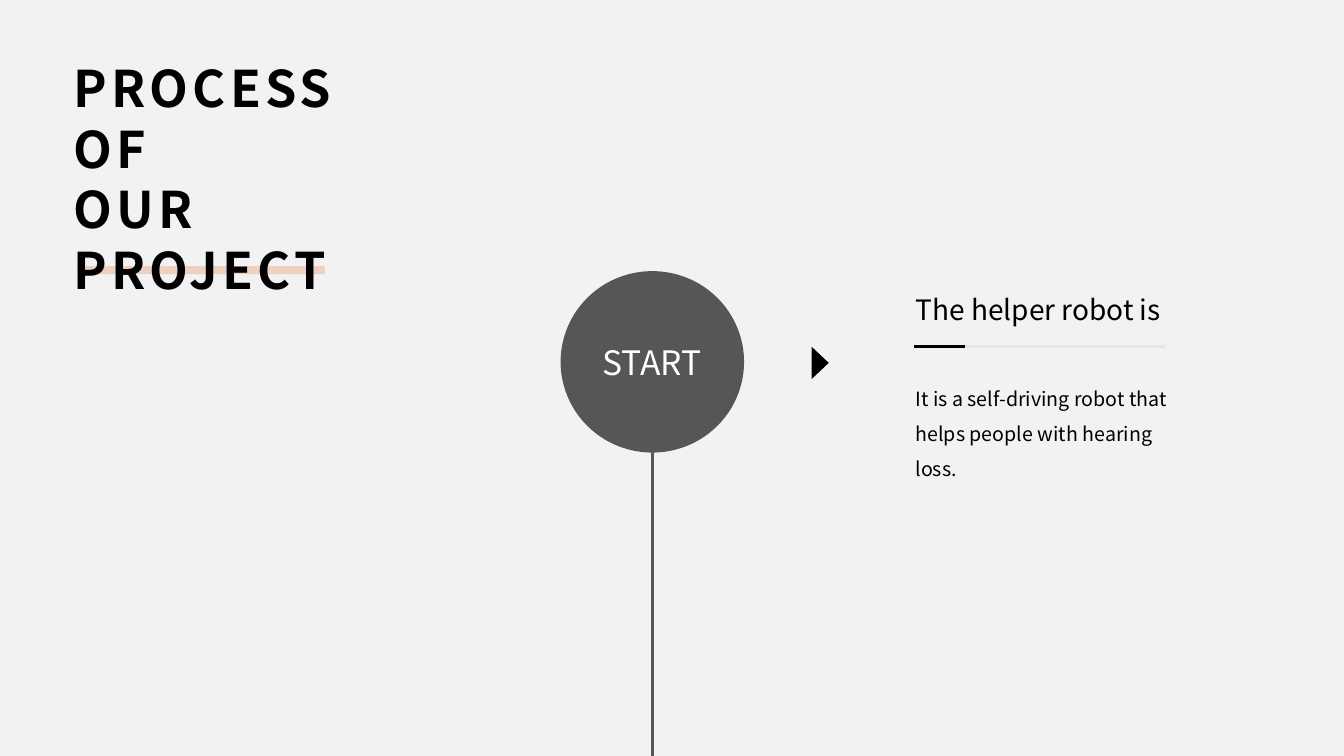
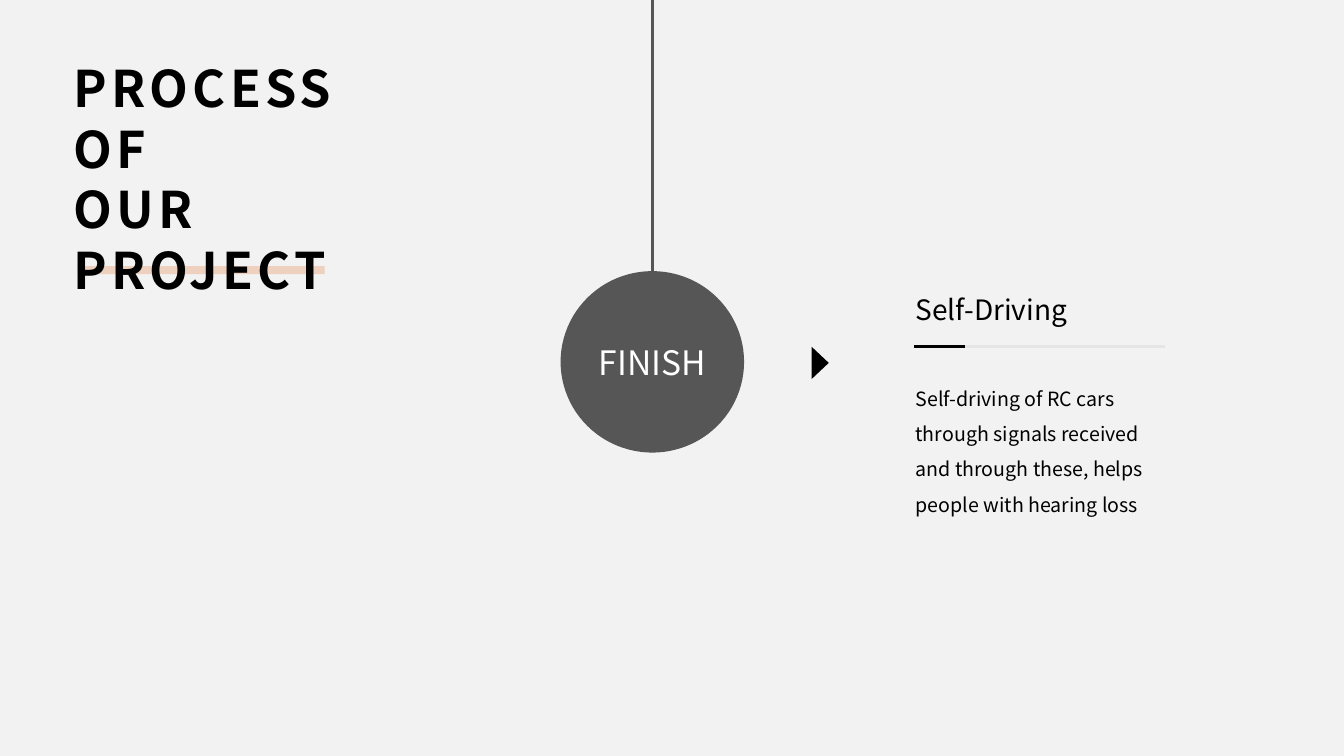
from copy import deepcopy
from dataclasses import dataclass

from lxml import etree
from pptx import Presentation
from pptx.dml.color import RGBColor
from pptx.enum.shapes import MSO_CONNECTOR, MSO_SHAPE
from pptx.enum.text import MSO_ANCHOR, MSO_AUTO_SIZE, PP_ALIGN
from pptx.oxml.ns import qn
from pptx.util import Inches, Pt

STRAIGHT = MSO_CONNECTOR.STRAIGHT
RECTANGLE, OVAL = MSO_SHAPE.RECTANGLE, MSO_SHAPE.OVAL
TOP, MIDDLE = MSO_ANCHOR.TOP, MSO_ANCHOR.MIDDLE
LEFT, CENTER = PP_ALIGN.LEFT, PP_ALIGN.CENTER
NO_AUTOSIZE = MSO_AUTO_SIZE.NONE
TITLE_AND_CONTENT = 1


@dataclass(frozen=True)
class Theme:
    font: str = "Noto Sans CJK KR"
    background: RGBColor = RGBColor(0xF2, 0xF2, 0xF2)
    highlight: RGBColor = RGBColor(0xED, 0xD0, 0xBE)
    milestone: RGBColor = RGBColor(0x56, 0x56, 0x56)
    rule: RGBColor = RGBColor(0xE5, 0xE5, 0xE5)
    ink: RGBColor = RGBColor(0, 0, 0)
    white: RGBColor = RGBColor(0xFF, 0xFF, 0xFF)
    title_size: int = 36
    milestone_size: int = 24
    heading_size: int = 20
    body_size: int = 14
    title_spacing: int = 3
    line_width: int = 2


@dataclass(frozen=True)
class Box:
    left: float
    top: float
    width: float
    height: float

    def emu(self) -> tuple:
        return tuple(Inches(v) for v in (self.left, self.top, self.width, self.height))


@dataclass(frozen=True)
class Step:
    label: str
    heading: str
    body: str
    line_from: float
    line_to: float


THEME = Theme()
SLIDE_WIDTH, SLIDE_HEIGHT = 13.33, 7.5
TITLE = "PROCESS\nOF\vOUR\nPROJECT"
TITLE_BOX = Box(0.63, 0.52, 5.16, 2.52)
HIGHLIGHT_BOX = Box(0.77, 2.64, 2.45, 0.08)
CIRCLE_BOX = Box(5.56, 2.69, 1.82, 1.8)
HEADING_BOX = Box(9.04, 2.86, 2.77, 0.46)
BODY_BOX = Box(9.04, 3.68, 2.63, 1.33)
TIMELINE_X = 6.47
RULE_Y = 3.44
INSET, TITLE_INSET = (0.04, 0.04), (0.1, 0.05)

STEPS = (
    Step("START", "The helper robot is",
         "It is a self-driving robot that helps people with hearing loss.",
         3.53, SLIDE_HEIGHT),
    Step("FINISH", "Self-Driving",
         "Self-driving of RC cars through signals received and through these, "
         "helps people with hearing loss",
         0, 4.07),
)


def set_text(sp, text: str, size: int, color: RGBColor, bold: bool = False,
             align=LEFT, anchor=TOP, inset: tuple = INSET) -> None:
    tf = sp.text_frame
    tf.text = text
    tf.word_wrap = True
    tf.auto_size = NO_AUTOSIZE
    tf.vertical_anchor = anchor
    tf.margin_left = tf.margin_right = Inches(inset[0])
    tf.margin_top = tf.margin_bottom = Inches(inset[1])
    for p in tf.paragraphs:
        p.alignment = align
        p.space_before = Pt(0)
        for r in p.runs:
            r.font.name = THEME.font
            r.font.size = Pt(size)
            r.font.bold = bold
            r.font.color.rgb = color


def set_fill(sp, color: RGBColor) -> None:
    sp.shadow.inherit = False
    sp.fill.solid()
    sp.fill.fore_color.rgb = color
    sp.line.fill.background()


def add_line(slide, x1: float, y1: float, x2: float, y2: float, color: RGBColor) -> None:
    line = slide.shapes.add_connector(
        STRAIGHT, Inches(x1), Inches(y1), Inches(x2), Inches(y2))
    line.line.color.rgb = color
    line.line.width = Pt(THEME.line_width)
    etree.SubElement(line._element.spPr, qn("a:effectLst"))


def add_title(slide) -> None:
    """Fill the letter-spaced title and lay its highlight behind it."""
    sp = slide.shapes.title
    set_text(sp, TITLE, THEME.title_size, THEME.ink, bold=True, inset=TITLE_INSET)
    for p in sp.text_frame.paragraphs:
        for r in p.runs:
            r.font._element.set("spc", str(THEME.title_spacing * 100))
        for line_break in p._p.findall(qn("a:br")):
            line_break.append(deepcopy(p.runs[0].font._element))
    bar = slide.shapes.add_shape(RECTANGLE, *HIGHLIGHT_BOX.emu())
    set_fill(bar, THEME.highlight)
    sp._element.addprevious(bar._element)


def add_milestone(slide, step: Step) -> None:
    add_line(slide, TIMELINE_X, step.line_from, TIMELINE_X, step.line_to, THEME.milestone)
    circle = slide.shapes.add_shape(OVAL, *CIRCLE_BOX.emu())
    set_fill(circle, THEME.milestone)
    set_text(circle, step.label, THEME.milestone_size, THEME.white,
             align=CENTER, anchor=MIDDLE)


def add_pointer(slide) -> None:
    left, tip, top, middle, bottom = (Inches(v) for v in (8.05, 8.22, 3.44, 3.6, 3.76))
    outline = slide.shapes.build_freeform(left, top)
    outline.add_line_segments([(tip, middle), (left, bottom)], close=True)
    set_fill(outline.convert_to_shape(), THEME.ink)


def add_description(slide, step: Step) -> None:
    heading = slide.shapes.add_textbox(*HEADING_BOX.emu())
    set_text(heading, step.heading, THEME.heading_size, THEME.ink)
    add_line(slide, 9.07, RULE_Y, 11.55, RULE_Y, THEME.rule)
    add_line(slide, 9.07, RULE_Y, 9.57, RULE_Y, THEME.ink)

    body = slide.placeholders[1]
    set_text(body, step.body, THEME.body_size, THEME.ink)
    for p in body.text_frame.paragraphs:
        p.line_spacing = 1.5
        pPr = p._p.get_or_add_pPr()
        pPr.set("marL", "0")
        pPr.set("indent", "0")
        etree.SubElement(pPr, qn("a:buNone"))


def prepare_layout(prs):
    """Set the shared background and placeholder positions."""
    fill = prs.slide_master.background.fill
    fill.solid()
    fill.fore_color.rgb = THEME.background
    layout = prs.slide_layouts[TITLE_AND_CONTENT]
    for sp, box in zip(layout.placeholders, (TITLE_BOX, BODY_BOX)):
        sp.left, sp.top, sp.width, sp.height = box.emu()
    return layout


def main() -> None:
    prs = Presentation()
    prs.slide_width, prs.slide_height = Inches(SLIDE_WIDTH), Inches(SLIDE_HEIGHT)
    layout = prepare_layout(prs)
    for step in STEPS:
        slide = prs.slides.add_slide(layout)
        add_title(slide)
        add_milestone(slide, step)
        add_pointer(slide)
        add_description(slide, step)
    prs.save("out.pptx")


if __name__ == "__main__":
    main()
